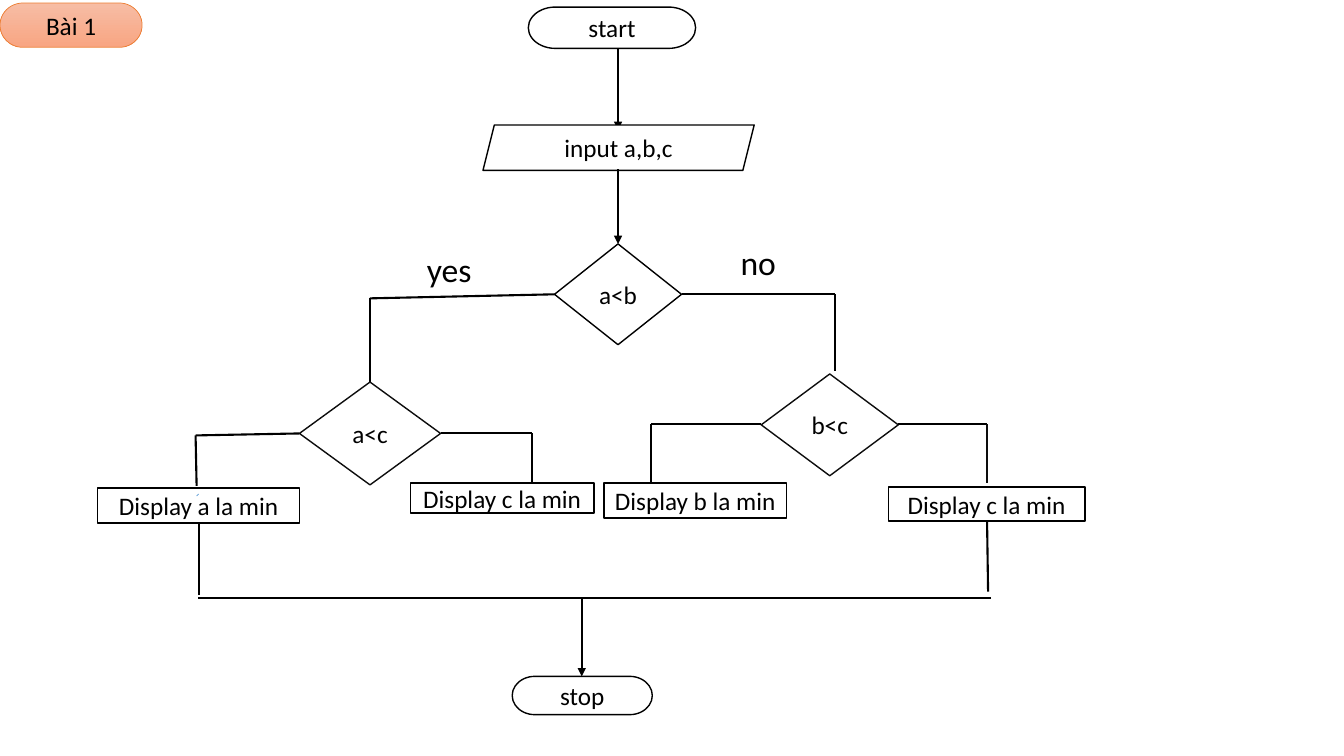
from dataclasses import dataclass
from itertools import pairwise

from lxml import etree
from pptx import Presentation
from pptx import util as u
from pptx.dml.color import RGBColor
from pptx.enum import shapes, text
from pptx.oxml.ns import qn

EMU_PER_PX = 9144
KIND = shapes.MSO_SHAPE


@dataclass(frozen=True)
class Theme:
    """Colours, font and type sizes of the flowchart."""
    font: str = "Calibri"
    node_size: int = 18
    answer_size: int = 24
    ink: str = "000000"
    soft_ink: str = "0D0D0D"
    paper: str = "FFFFFF"
    badge_top: str = "F7BDA5"
    badge_bottom: str = "F8A582"
    badge_edge: str = "ED7D31"
    tick: str = "5B9BD5"


THEME = Theme()


def px(length):
    """Turn px into EMU."""
    return u.Emu(length * EMU_PER_PX)


def rgb(colour):
    """Turn a hex string into a colour."""
    return RGBColor.from_string(colour)


def within(region, box):
    """Shift a box by the corner of its region."""
    return region[0] + box[0], region[1] + box[1], *box[2:]


def write(frame, wording, size):
    """Write one centred run and return its paragraph."""
    paragraph = frame.paragraphs[0]
    paragraph.alignment = text.PP_ALIGN.CENTER
    run = paragraph.add_run()
    run.text = wording
    run.font.name = THEME.font
    run.font.size = u.Pt(size)
    run.font.color.rgb = rgb(THEME.ink)
    return paragraph


def node(slide, region, kind, box, wording, edge=THEME.ink, weight=1):
    """Place one labelled flowchart step."""
    step = slide.shapes.add_shape(kind, *map(px, within(region, box)))
    step.shadow.inherit = False
    step.fill.solid()
    step.fill.fore_color.rgb = rgb(THEME.paper)
    step.line.color.rgb = rgb(edge)
    step.line.width = u.Pt(weight)
    step.text_frame.word_wrap = False
    step.text_frame.vertical_anchor = text.MSO_ANCHOR.MIDDLE
    write(step.text_frame, wording, THEME.node_size)
    return step


def wire(slide, region, points, arrow=False, colour=THEME.ink, weight=1.5):
    """Join successive points with straight lines."""
    for start, end in pairwise(points):
        ends = within(region, start) + within(region, end)
        link = slide.shapes.add_connector(shapes.MSO_CONNECTOR.STRAIGHT, *map(px, ends))
        link.line.color.rgb = rgb(colour)
        link.line.width = u.Pt(weight)
        if arrow:
            etree.SubElement(link.line._get_or_add_ln(), qn("a:tailEnd"), type="triangle")
        etree.SubElement(link._element.spPr, qn("a:effectLst"))


def answer(label, box, anchor):
    """Format a yes or no label and return its paragraph."""
    label.left, label.top, label.width, label.height = map(px, box)
    frame = label.text_frame
    frame.word_wrap = True
    frame.auto_size = text.MSO_AUTO_SIZE.NONE
    frame.vertical_anchor = anchor
    paragraph = write(frame, "yes" if label.is_placeholder else "no", THEME.answer_size)
    paragraph.line_spacing = 0.9
    return paragraph


def lesson_badge(slide, region):
    """Place the lesson badge in the corner."""
    badge = node(slide, region, KIND.FLOWCHART_TERMINATOR, (0, 0, 141, 44),
                 "Bài 1", THEME.badge_edge, 0.5)
    badge.fill.gradient()
    badge.fill.gradient_angle = 270
    for stop, colour in zip(badge.fill.gradient_stops, (THEME.badge_top, THEME.badge_bottom)):
        stop.color.rgb = rgb(colour)


def opening(slide, region):
    """Place the start and input steps with their arrows."""
    wire(slide, region, [(134, 40), (134, 122)], arrow=True)
    node(slide, region, KIND.FLOWCHART_TERMINATOR, (45, 0, 166, 41), "start")
    node(slide, region, KIND.PARALLELOGRAM, (0, 117, 269, 45), "input a,b,c")
    wire(slide, region, [(134, 161), (134, 235)], arrow=True)


def first_test(slide, region):
    """Place the first comparison and its two answers."""
    node(slide, region, KIND.FLOWCHART_DECISION, (183, 0, 126, 100), "a<b")
    wire(slide, region, [(183, 50), (0, 54), (0, 137)])
    wire(slide, region, [(309, 50), (461, 50), (461, 126)])
    answer(slide.shapes.title, within(region, (26, 4, 105, 46)), text.MSO_ANCHOR.BOTTOM)
    no_box = within(region, (315, -2, 140, 51))
    no_label = slide.shapes.add_textbox(*map(px, no_box))
    answer(no_label, no_box, text.MSO_ANCHOR.TOP).space_before = u.Pt(10)


def second_test(slide, region, question, question_box, elbows, outcomes):
    """Place a second comparison with its two outcomes."""
    node(slide, region, KIND.FLOWCHART_DECISION, question_box, question, THEME.soft_ink)
    for elbow in elbows:
        wire(slide, region, elbow)
    for kind, letter, box in outcomes:
        node(slide, region, kind, box, f"Display {letter} la min")


def closing(slide, region):
    """Gather the outcomes and lead them to the stop step."""
    wire(slide, region, [(1, 1), (1, 73)])
    wire(slide, region, [(783, 0), (784, 70)])
    wire(slide, region, [(787, 76), (0, 76)])
    wire(slide, region, [(381, 76), (381, 154)], arrow=True)
    node(slide, region, KIND.FLOWCHART_TERMINATOR, (312, 154, 139, 38), "stop")


def main():
    """Build and save the flowchart slide."""
    deck = Presentation()
    deck.slide_width, deck.slide_height = px(1333), px(750)
    slide = deck.slides.add_slide(deck.slide_layouts[5])
    opening(slide, (479, 7))
    first_test(slide, (367, 242))
    second_test(
        slide, (97, 379), "a<c", (200, 0, 140, 102),
        [[(200, 51), (97, 53), (98, 103)], [(340, 51), (431, 51), (431, 100)]],
        [(KIND.FLOWCHART_PROCESS, "a", (0, 105, 200, 35)),
         (KIND.RECTANGLE, "c", (310, 100, 182, 30))])
    wire(slide, (195, 490), [(2, 0), (0, 2)], colour=THEME.tick, weight=0.5)
    second_test(
        slide, (599, 371), "b<c", (156, 0, 136, 101),
        [[(156, 50), (47, 50), (47, 108)], [(292, 50), (380, 50)]],
        [(KIND.RECTANGLE, "b", (0, 108, 181, 35)),
         (KIND.FLOWCHART_PROCESS, "c", (282, 112, 195, 34))])
    wire(slide, (979, 421), [(0, 0), (0, 58)], colour=THEME.soft_ink, weight=2)
    closing(slide, (196, 517))
    lesson_badge(slide, (0, 3))
    deck.save("out.pptx")


if __name__ == "__main__":
    main()
